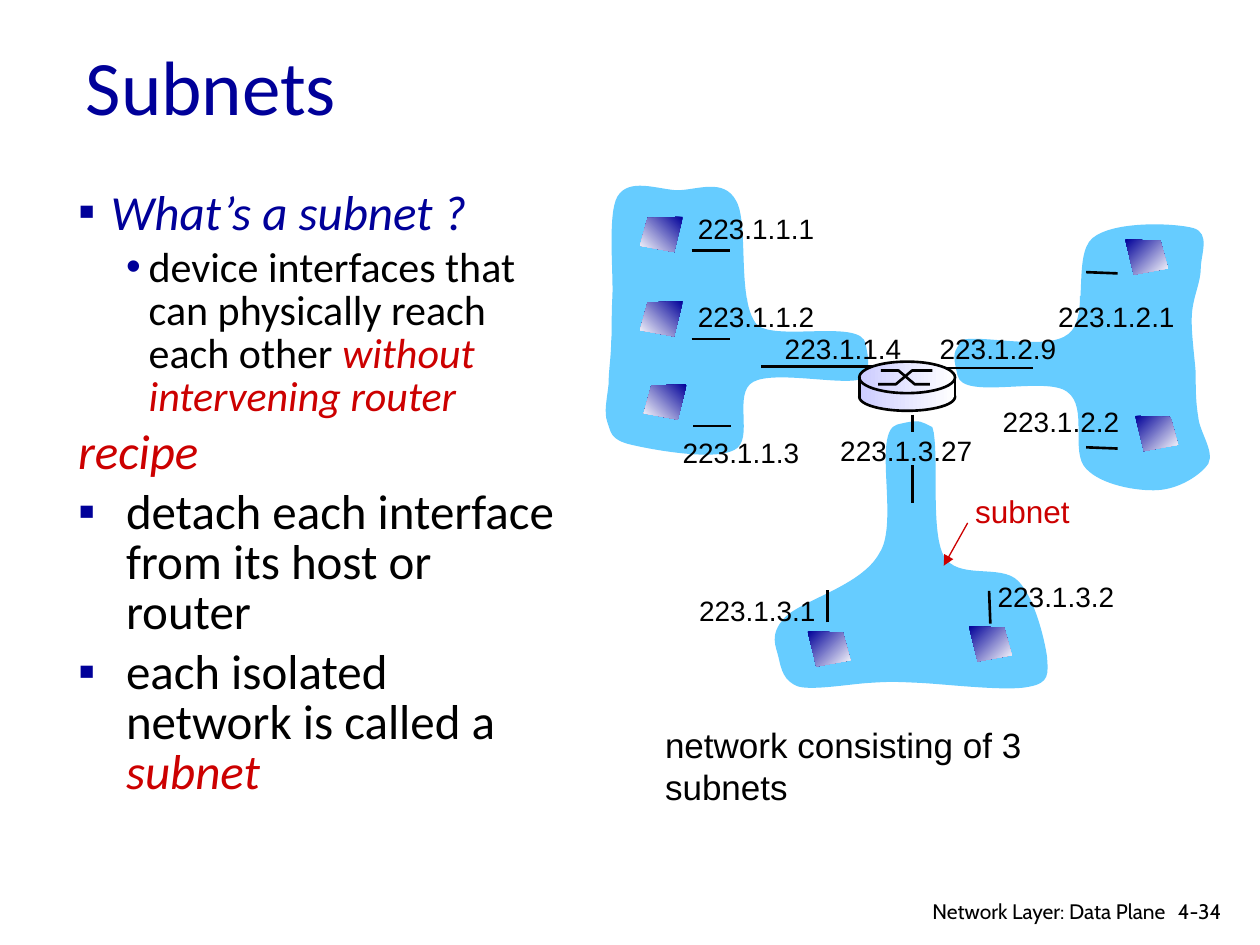
import pptx
import pptx.util
import pptx.dml.color
import pptx.enum.shapes
import pptx.enum.text
import pptx.oxml
import pptx.oxml.ns

Inches, Pt = pptx.util.Inches, pptx.util.Pt
KIND = pptx.enum.shapes.MSO_SHAPE
ALIGN = pptx.enum.text.PP_ALIGN
FIT = pptx.enum.text.MSO_AUTO_SIZE
qn = pptx.oxml.ns.qn

HUES = {"navy": "000099", "red": "CC0000", "black": "000000", "white": "FFFFFF",
        "sky": "66CCFF", "lilac": "CCCCFF"}

# (size, level, indent, hang, bullet, runs of (text, colour, italic))
BODY = [
    (28, 0, 0.26, 0.26, "▪", [("What’s a subnet ?", "navy", True)]),
    (24, 1, 0.56, 0.18, "•", [
        ("device interfaces that can physically reach each other ", "black", False),
        ("without intervening router", "red", True)]),
    (28, 0, 0.38, 0.38, None, [("recipe", "red", True)]),
    (28, 0, 0.38, 0.38, "▪", [
        ("detach each interface from its host or router", "black", False)]),
    (28, 0, 0.38, 0.38, "▪", [
        ("each isolated network is called a ", "black", False), ("subnet", "red", True)]),
]

# Each cloud: a start point, then three points for every curve
CLOUDS = [
    [(6.87, 2.73), (6.84, 2.53), (6.17, 2.71), (6.01, 2.58), (5.84, 2.39), (5.95, 1.77),
     (5.84, 1.59), (5.74, 1.41), (5.53, 1.51), (5.37, 1.51), (5.21, 1.5), (4.99, 1.41),
     (4.9, 1.56), (4.82, 1.7), (4.87, 2.17), (4.86, 2.36), (4.85, 2.55), (4.86, 2.6),
     (4.85, 2.72), (4.85, 2.83), (4.83, 2.94), (4.83, 3.05), (4.82, 3.15), (4.79, 3.27),
     (4.82, 3.35), (4.85, 3.43), (4.84, 3.49), (5.01, 3.53), (5.18, 3.57), (5.67, 3.66),
     (5.83, 3.57), (5.99, 3.49), (5.81, 3.12), (5.98, 3.03), (6.15, 2.94), (6.68, 3.06),
     (6.83, 3.01), (6.89, 2.91), (6.91, 2.93), (6.87, 2.73)],
    [(7.6, 2.98), (7.64, 3.18), (8.3, 2.98), (8.47, 3.11), (8.64, 3.23), (8.49, 3.59),
     (8.62, 3.72), (8.74, 3.85), (9.03, 3.9), (9.19, 3.89), (9.36, 3.88), (9.53, 3.77),
     (9.59, 3.68), (9.64, 3.58), (9.52, 3.43), (9.51, 3.31), (9.49, 3.19), (9.49, 3.09),
     (9.49, 2.96), (9.48, 2.82), (9.45, 2.62), (9.46, 2.49), (9.47, 2.35), (9.53, 2.24),
     (9.53, 2.13), (9.53, 2.02), (9.61, 1.85), (9.47, 1.81), (9.32, 1.77), (8.84, 1.75),
     (8.67, 1.89), (8.51, 2.03), (8.65, 2.52), (8.48, 2.65), (8.31, 2.79), (7.78, 2.65),
     (7.63, 2.7), (7.58, 2.8), (7.55, 2.78), (7.6, 2.98)],
    [(7.12, 3.37), (6.92, 3.43), (7.14, 4.15), (6.98, 4.39), (6.84, 4.65), (6.37, 4.76),
     (6.23, 4.9), (6.1, 5.04), (6.16, 5.13), (6.18, 5.22), (6.2, 5.31), (6.22, 5.41),
     (6.34, 5.45), (6.46, 5.48), (6.74, 5.43), (6.9, 5.42), (7.06, 5.41), (7.09, 5.41),
     (7.3, 5.42), (7.51, 5.43), (8, 5.49), (8.17, 5.45), (8.33, 5.42), (8.32, 5.35),
     (8.31, 5.21), (8.29, 5.07), (8.21, 4.74), (8.08, 4.61), (7.94, 4.47), (7.6, 4.61),
     (7.49, 4.41), (7.38, 4.21), (7.46, 3.57), (7.4, 3.39), (7.31, 3.35), (7.32, 3.32),
     (7.12, 3.37)],
]
WIRES = [
    (5.49, 1.99, 5.79, 1.99), (5.49, 2.69, 5.79, 2.69), (5.5, 3.38, 5.8, 3.38),
    (6.04, 2.91, 6.94, 2.91), (7.5, 2.92, 8.2, 2.92), (8.62, 2.16, 8.87, 2.17),
    (8.62, 3.55, 8.87, 3.56), (7.24, 3.29, 7.24, 3.99), (6.57, 4.94, 6.57, 4.68),
    (7.86, 4.95, 7.85, 4.69),
]
# Hosts: left, top, facing left
HOSTS = [(5.08, 1.72, True), (5.08, 2.39, True), (5.11, 3.05, True), (8.93, 1.9, False),
         (9.01, 3.3, False), (7.69, 4.97, False), (6.41, 5.01, False)]
HOST = [(0, 0), (0.28, 0.01), (0.34, 0.23), (0.07, 0.28)]
HOST_W = 0.34
PATCHES = [(5.61, 2.37), (8.57, 2.35), (8.57, 3.23), (7.09, 3.43)]
LABELS = [
    ("223.1.1.1", 5.44, 1.63), ("223.1.1.2", 5.44, 2.33), ("223.1.1.3", 5.32, 3.41),
    ("223.1.1.4", 6.13, 2.58), ("223.1.2.9", 7.36, 2.58), ("223.1.2.1", 8.3, 2.33),
    ("223.1.2.2", 7.86, 3.16), ("223.1.3.27", 6.57, 3.39), ("223.1.3.1", 5.45, 4.66),
    ("223.1.3.2", 7.82, 4.55),
]
# Router drum, from back to front: kind, left, top, width, height, outlined
DRUM = [(KIND.OVAL, 6.82, 3.04, 0.76, 0.22, True),
        (KIND.RECTANGLE, 6.82, 3.02, 0.76, 0.13, False),
        (KIND.OVAL, 6.82, 2.87, 0.76, 0.25, True)]
CROSS = [[(6.97, 3.05), (7.11, 3.05), (7.24, 2.94), (7.4, 2.94)],
         [(6.99, 2.94), (7.13, 2.94), (7.26, 3.05), (7.38, 3.05)]]
SIDES = [(6.82, 2.99, 6.82, 3.16), (7.58, 3, 7.58, 3.16)]


def tint(name):
    return pptx.dml.color.RGBColor.from_string(HUES[name])


def add_run(para, text, size, font, hue, slant=False):
    run = para.add_run()
    run.text = text
    run.font.size, run.font.name, run.font.italic = Pt(size), font, slant
    run.font.color.rgb = tint(hue)


def place(shape, *box):
    shape.left, shape.top, shape.width, shape.height = map(Inches, box)


def paint(shape, fill=None, line=None, fade=None):
    """Fill flat, or from fill to white at the clockwise angle fade."""
    shape.shadow.inherit = False
    if fill is None:
        shape.fill.background()
    elif fade is None:
        shape.fill.solid()
        shape.fill.fore_color.rgb = tint(fill)
    else:
        shape.fill.gradient()
        shape.fill.gradient_angle = (360 - fade) % 360
        for stop, name in zip(shape.fill.gradient_stops, (fill, "white")):
            stop.color.rgb = tint(name)
    if line:
        shape.line.color.rgb = tint(line)
        shape.line.width = Pt(1.5)
    else:
        shape.line.fill.background()


def trace(home, points, close=True):
    spots = [(Inches(x), Inches(y)) for x, y in points]
    pen = home.build_freeform(*spots[0], scale=1)
    pen.add_line_segments(spots[1:], close=close)
    return pen.convert_to_shape()


def bend(shape):
    """Turn each three straight segments into one cubic curve."""
    legs = list(shape._element.iter(qn("a:lnTo")))
    for i in range(0, len(legs) - 2, 3):
        curve = pptx.oxml.parse_xml(
            f"<a:cubicBezTo {pptx.oxml.ns.nsdecls('a')}/>")
        legs[i].addprevious(curve)
        for leg in legs[i:i + 3]:
            curve.append(leg[0])
            leg.getparent().remove(leg)


def add_wire(home, ends, hue="black", width=1.5, head=False):
    wire = home.add_connector(pptx.enum.shapes.MSO_CONNECTOR.STRAIGHT,
                              *map(Inches, ends))
    wire.line.color.rgb = tint(hue)
    wire.line.width = Pt(width)
    if head:
        tip = wire.line._get_or_add_ln().makeelement(qn("a:tailEnd"), {"type": "triangle"})
        wire.line._get_or_add_ln().append(tip)
    props = wire._element.spPr
    props.append(props.makeelement(qn("a:effectLst"), {}))


def add_label(home, text, box, size=16, hue="black", font="Arial", wrap=False,
              align=ALIGN.LEFT, right=0.1):
    label = home.add_textbox(*map(Inches, box))
    frame = label.text_frame
    frame.word_wrap = wrap
    frame.auto_size = FIT.NONE if wrap else FIT.SHAPE_TO_FIT_TEXT
    frame.margin_right = Inches(right)
    frame.paragraphs[0].alignment = align
    add_run(frame.paragraphs[0], text, size, font, hue)


def set_mark(para, indent, hang, mark):
    props = para._p.get_or_add_pPr()
    props.set("marL", str(Inches(indent)))
    props.set("indent", str(-Inches(hang)))
    if mark:
        color = props.makeelement(qn("a:buClr"), {})
        color.append(color.makeelement(qn("a:srgbClr"), {"val": HUES["navy"]}))
        props.append(color)
        props.append(props.makeelement(qn("a:buChar"), {"char": mark}))
    else:
        props.append(props.makeelement(qn("a:buNone"), {}))


def fill_body(frame):
    frame.auto_size = FIT.NONE
    for i, (size, level, indent, hang, mark, runs) in enumerate(BODY):
        para = frame.add_paragraph() if i else frame.paragraphs[0]
        set_mark(para, indent, hang, mark)
        para.level = level
        para.line_spacing = 0.85
        para.space_before = Pt(size * 0.2 if i else 0)
        for text, hue, slant in runs:
            add_run(para, text, size, "Calibri", hue, slant)


def add_router(home):
    group = home.add_group_shape().shapes
    for kind, *box, lined in DRUM:
        paint(group.add_shape(kind, *map(Inches, box)), "lilac",
              "black" if lined else None, fade=0)
    for points in CROSS:
        paint(trace(group, points, close=False), line="black")
    for ends in SIDES:
        add_wire(group, ends)


def main():
    deck = pptx.Presentation()
    deck.slide_width, deck.slide_height = Inches(10), Inches(7.5)
    slide = deck.slides.add_slide(deck.slide_layouts[1])
    shapes = slide.shapes
    title, body = shapes.title, slide.placeholders[1]
    place(title, 0.58, 0.25, 4.05, 0.84)
    title.text_frame.auto_size = FIT.NONE
    title.text_frame.vertical_anchor = pptx.enum.text.MSO_ANCHOR.MIDDLE
    title.text_frame.paragraphs[0].alignment = ALIGN.LEFT
    add_run(title.text_frame.paragraphs[0], "Subnets", 44, "Calibri", "navy")
    place(body, 0.52, 1.46, 4.04, 5.08)
    fill_body(body.text_frame)

    for points in CLOUDS:
        cloud = trace(shapes, points)
        bend(cloud)
        paint(cloud, "sky")
    for ends in WIRES:
        add_wire(shapes, ends)
    for left, top, flip in HOSTS:
        points = [(left + (HOST_W - x if flip else x), top + y) for x, y in HOST]
        paint(trace(shapes, points), "navy", fade=135 if flip else 45)
    add_router(shapes)
    for spot in PATCHES:
        patch = shapes.add_shape(KIND.RECTANGLE, *map(Inches, (*spot, 0.32, 0.26)))
        paint(patch, "sky")
    for text, left, top in LABELS:
        add_label(shapes, text, (left, top, 1.25 if len(text) > 9 else 1.13, 0.37))

    add_label(shapes, "subnet", (7.64, 3.86, 0.95, 0.4), 18, "red")
    add_wire(shapes, (7.68, 4.15, 7.49, 4.49), "red", 0.75, head=True)
    add_label(shapes, "network consisting of 3 subnets", (5.18, 5.69, 4.07, 0.43), 20,
              wrap=True, right=0.5)
    add_label(shapes, "4-34", (9.25, 7.08, 0.61, 0.3), 12, font="Cabin", wrap=True)
    add_label(shapes, "Network Layer: Data Plane", (6.97, 7.08, 2.38, 0.26), 12,
              font="Cabin", wrap=True, align=ALIGN.RIGHT)
    deck.save("out.pptx")


if __name__ == "__main__":
    main()
